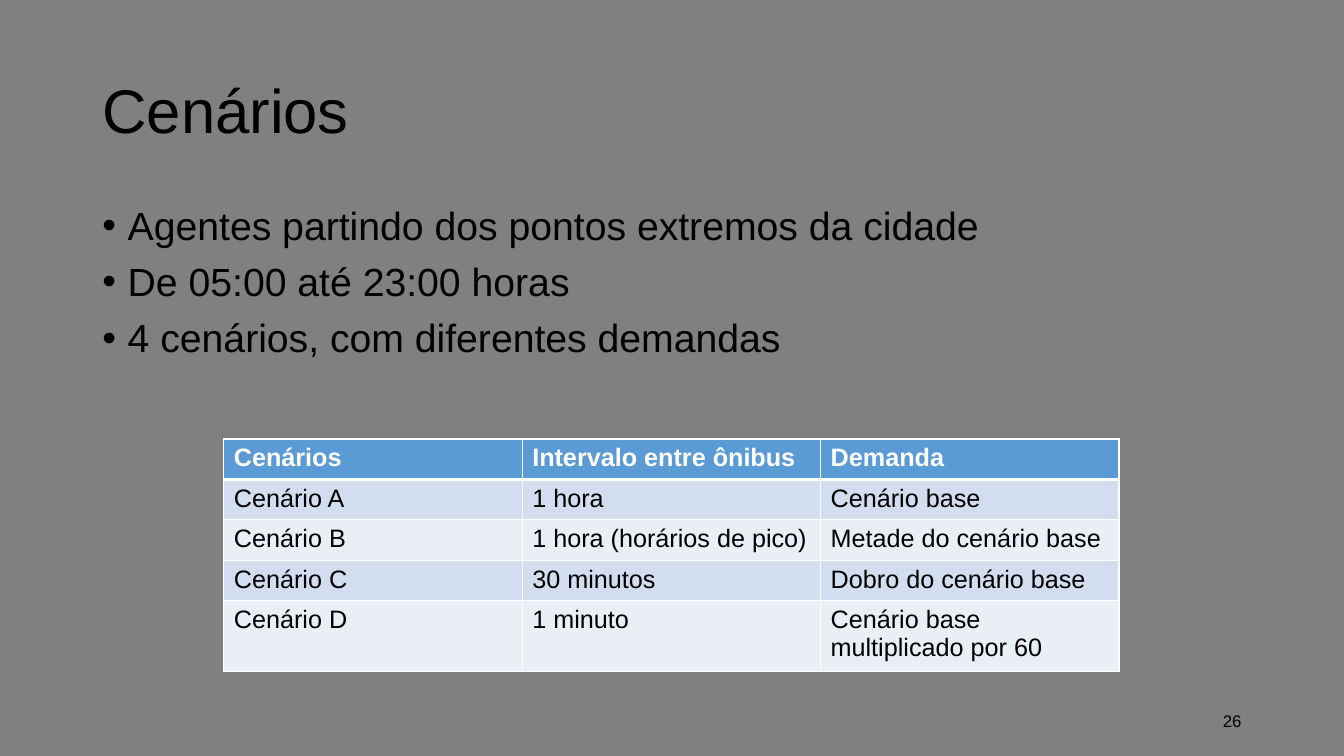
from dataclasses import dataclass

from lxml.etree import SubElement
from pptx import Presentation
from pptx.dml.color import RGBColor
from pptx.enum.text import MSO_ANCHOR, PP_ALIGN
from pptx.oxml.ns import qn
from pptx.util import Cm, Pt

BLACK, WHITE = "000000", "FFFFFF"
HEADER_FILL = "5B9BD5"
BAND_FILLS = ("D2DEEF", "EAEFF7")
COL_WIDTH, ROW_HEIGHT = 7.52, 1.02
SCENARIOS = [
    ("Cenários", "Intervalo entre ônibus", "Demanda"),
    ("Cenário A", "1 hora", "Cenário base"),
    ("Cenário B", "1 hora (horários de pico)", "Metade do cenário base"),
    ("Cenário C", "30 minutos", "Dobro do cenário base"),
    ("Cenário D", "1 minuto", "Cenário base multiplicado por 60"),
]


@dataclass
class TextBlock:
    left: float
    top: float
    width: float
    height: float
    lines: tuple[str, ...]
    size: int
    anchor: MSO_ANCHOR = MSO_ANCHOR.MIDDLE
    align: PP_ALIGN = PP_ALIGN.LEFT
    line_spacing: float = 1.0
    bulleted: bool = False


BLOCKS = [
    TextBlock(2.33, 1.01, 29.21, 3.68, ("Cenários",), 44, line_spacing=0.9),
    TextBlock(2.33, 5.07, 29.21, 12.09,
              ("Agentes partindo dos pontos extremos da cidade",
               "De 05:00 até 23:00 horas",
               "4 cenários, com diferentes demandas"),
              28, anchor=MSO_ANCHOR.TOP, line_spacing=0.9, bulleted=True),
    TextBlock(23.92, 17.66, 7.62, 1.01, ("26",), 12, align=PP_ALIGN.RIGHT),
]


def rgb(color: str) -> RGBColor:
    return RGBColor.from_string(color)


def add_run(p, text: str, size: int, color: str = BLACK, bold: bool = False) -> None:
    r = p.add_run()
    r.text = text
    formats = {"name": "Arial", "size": Pt(size), "bold": bold}
    for name, value in formats.items():
        setattr(r.font, name, value)
    r.font.color.rgb = rgb(color)


def add_bullet(p) -> None:
    pPr = p._p.get_or_add_pPr()
    pPr.set("marL", str(Cm(0.64)))
    pPr.set("indent", str(-Cm(0.64)))
    SubElement(pPr, qn("a:buFont"), typeface="Arial")
    SubElement(pPr, qn("a:buChar"), char="•")


def add_text(s, block: TextBlock) -> None:
    box = s.shapes.add_textbox(Cm(block.left), Cm(block.top),
                               Cm(block.width), Cm(block.height))
    tf = box.text_frame
    tf.word_wrap = True
    tf.vertical_anchor = block.anchor
    for i, line in enumerate(block.lines):
        p = tf.add_paragraph() if i else tf.paragraphs[0]
        if block.bulleted:
            add_bullet(p)
        p.alignment = block.align
        p.line_spacing = block.line_spacing
        if i:
            p.space_before = Pt(10)
        add_run(p, line, block.size)


def set_borders(cell, top: float, bottom: float) -> None:
    """Draw white cell borders; top and bottom widths are in points."""
    tcPr = cell._tc.get_or_add_tcPr()
    widths = {"lnL": 1, "lnR": 1, "lnT": top, "lnB": bottom}
    for side, width in widths.items():
        ln = SubElement(tcPr, qn(f"a:{side}"), w=str(Pt(width)))
        fill = SubElement(ln, qn("a:solidFill"))
        SubElement(fill, qn("a:srgbClr"), val=WHITE)


def add_scenario_table(s, left: float, top: float) -> None:
    n_rows, n_cols = len(SCENARIOS), len(SCENARIOS[0])
    table = s.shapes.add_table(n_rows, n_cols, Cm(left), Cm(top),
                               Cm(COL_WIDTH * n_cols), Cm(ROW_HEIGHT * n_rows)).table
    for column in table.columns:
        column.width = Cm(COL_WIDTH)
    for i, values in enumerate(SCENARIOS):
        table.rows[i].height = Cm(ROW_HEIGHT)
        header = i == 0
        for j, value in enumerate(values):
            cell = table.cell(i, j)
            set_borders(cell, top=3 if i == 1 else 1, bottom=3 if header else 1)
            cell.fill.solid()
            cell.fill.fore_color.rgb = rgb(HEADER_FILL if header else BAND_FILLS[(i - 1) % 2])
            add_run(cell.text_frame.paragraphs[0], value, 18,
                    WHITE if header else BLACK, bold=header)


def main() -> None:
    prs = Presentation()
    prs.slide_width, prs.slide_height = Cm(33.87), Cm(19.05)
    s = prs.slides.add_slide(prs.slide_layouts[6])
    s.background.fill.solid()
    s.background.fill.fore_color.rgb = rgb("808080")
    for block in BLOCKS:
        add_text(s, block)
    add_scenario_table(s, 5.64, 11.06)
    prs.save("out.pptx")


if __name__ == "__main__":
    main()
